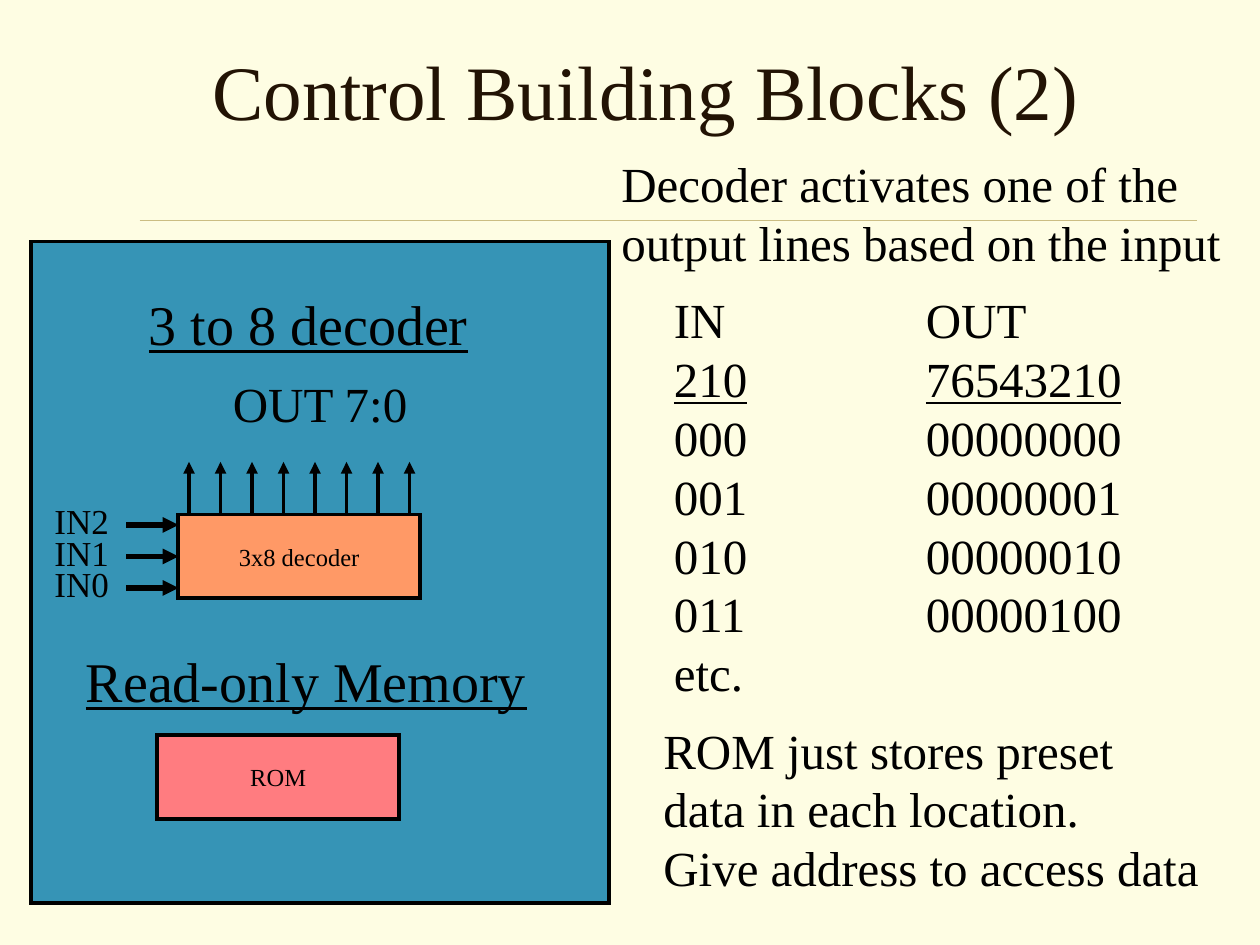
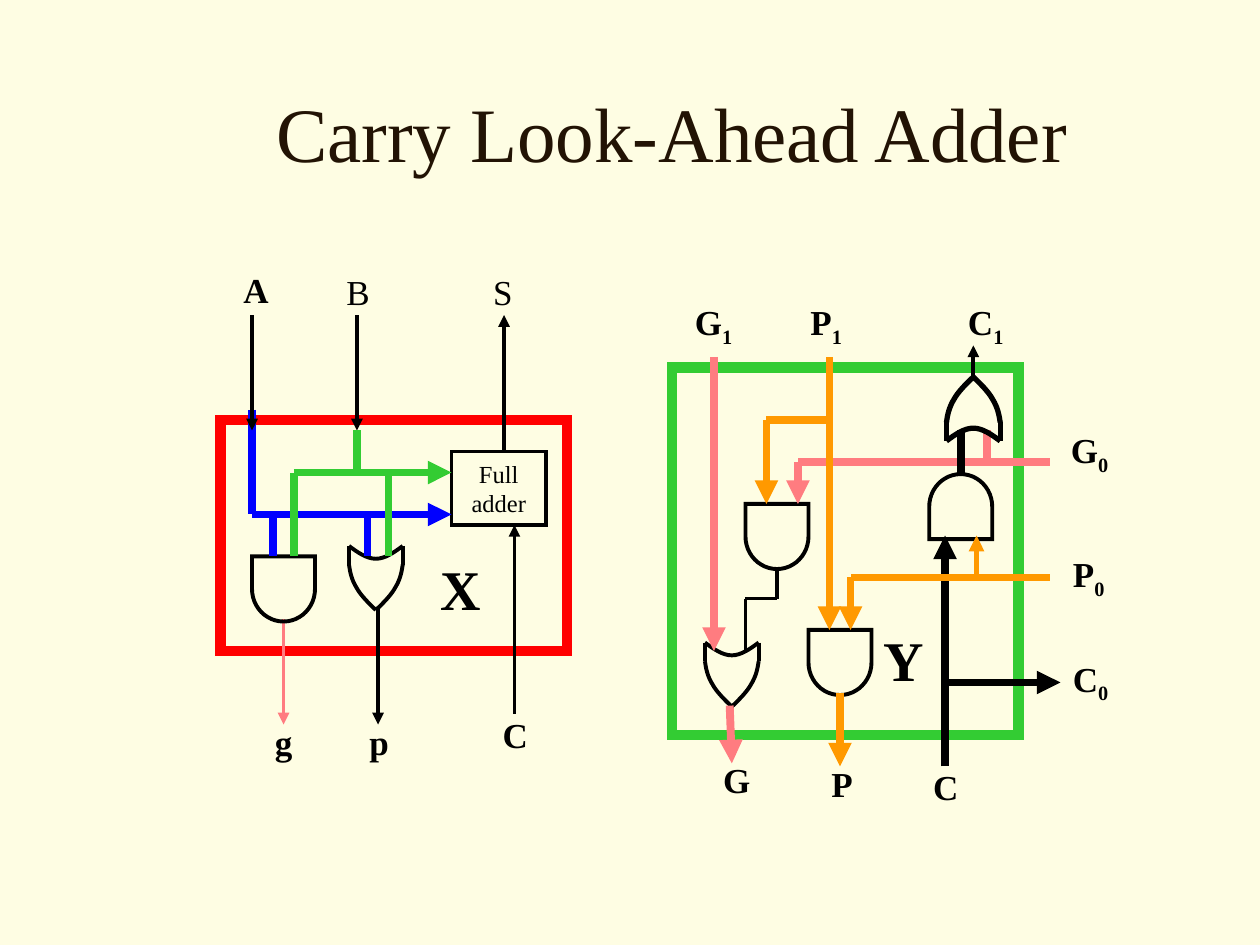
from lxml.etree import SubElement
from pptx import Presentation
from pptx.dml.color import RGBColor
from pptx.enum.shapes import MSO_CONNECTOR, MSO_SHAPE
from pptx.enum.text import MSO_ANCHOR, MSO_AUTO_SIZE, PP_ALIGN
from pptx.oxml.ns import qn
from pptx.util import Inches, Pt

COLORS = {
    "background": "FEFDE3",
    "title": "221304",
    "rule": "CBBD83",
    "black": "000000",
    "panel": "3694B6",
    "decoder": "FF9966",
    "pink": "FF7C80",
    "red": "FF0000",
    "green": "33CC33",
    "blue": "0000FF",
    "orange": "FF9900",
}
FONT = "Times New Roman"
COLUMNS, ROWS = 120, 90
TITLE_ONLY = 5
GATE_SIDE = ((-0.5, 0.29), (-0.48, 0.41), (-0.45, 0.53), (-0.36, 0.65),
             (-0.29, 0.76), (-0.15, 0.88), (0, 1))
GATE_BACK = ((-0.5, 0), (-0.34, 0.1), (-0.17, 0.2), (0, 0.2),
             (0.17, 0.2), (0.34, 0.1), (0.5, 0))


def color(name):
    return RGBColor.from_string(COLORS[name])


class Deck:
    def __init__(self):
        self.presentation = Presentation()
        self.presentation.slide_width = Inches(10)
        self.presentation.slide_height = Inches(7.5)
        self.column = self.presentation.slide_width / COLUMNS
        self.row = self.presentation.slide_height / ROWS
        fill = self.presentation.slide_master.background.fill
        fill.solid()
        fill.fore_color.rgb = color("background")
        self.slide = None

    def point(self, x, y):
        return round(x * self.column), round(y * self.row)

    def box(self, left, top, width, height):
        return *self.point(left, top), *self.point(width, height)

    def format_runs(self, paragraph, size, ink="black", bold=False, underline=False):
        for run in paragraph.runs:
            run.font.name = FONT
            run.font.size = Pt(size)
            run.font.bold = bold
            run.font.underline = underline
            run.font.color.rgb = color(ink)

    def new_slide(self, title, *place):
        layout = self.presentation.slide_layouts[TITLE_ONLY]
        self.slide = self.presentation.slides.add_slide(layout)
        shape = self.slide.shapes.title
        shape.left, shape.top, shape.width, shape.height = self.box(*place)
        frame = shape.text_frame
        frame.text = title
        frame.auto_size = MSO_AUTO_SIZE.NONE
        frame.vertical_anchor = MSO_ANCHOR.MIDDLE
        frame.paragraphs[0].alignment = PP_ALIGN.CENTER
        self.format_runs(frame.paragraphs[0], 44, "title")

    def text(self, content, *place, size=28, bold=False, underline=False, subscript=""):
        frame = self.slide.shapes.add_textbox(*self.box(*place)).text_frame
        frame.text = content
        frame.word_wrap = False
        frame.auto_size = MSO_AUTO_SIZE.SHAPE_TO_FIT_TEXT
        if subscript:
            run = frame.paragraphs[0].add_run()
            run.text = subscript
            run._r.get_or_add_rPr().set("baseline", "-25000")
        for paragraph in frame.paragraphs:
            self.format_runs(paragraph, size, bold=bold, underline=underline)
        return frame

    def label(self, content, left, top, width, bold=True, subscript=""):
        self.text(content, left, top, width, 5.2, size=20, bold=bold, subscript=subscript)

    def outline(self, shape, ink, weight, fill=None):
        shape.shadow.inherit = False
        shape.line.color.rgb = color(ink)
        shape.line.width = Pt(weight)
        SubElement(shape._element.spPr.find(qn("a:ln")), qn("a:miter"), lim="800000")
        if fill:
            shape.fill.solid()
            shape.fill.fore_color.rgb = color(fill)
        else:
            shape.fill.background()

    def block(self, *place, content="", fill=None, ink="black", weight=2.25):
        shape = self.slide.shapes.add_shape(MSO_SHAPE.RECTANGLE, *self.box(*place))
        self.outline(shape, ink, weight, fill)
        if content:
            frame = shape.text_frame
            frame.text = content
            frame.word_wrap = False
            frame.vertical_anchor = MSO_ANCHOR.MIDDLE
            for paragraph in frame.paragraphs:
                paragraph.alignment = PP_ALIGN.CENTER
                self.format_runs(paragraph, 14)

    def wire(self, *points, ink="black", weight=2.25, arrow=False):
        for start, end in zip(points, points[1:]):
            connector = self.slide.shapes.add_connector(
                MSO_CONNECTOR.STRAIGHT, *self.point(*start), *self.point(*end))
            connector.line.color.rgb = color(ink)
            connector.line.width = Pt(weight)
            properties = connector._element.spPr
            if arrow and end == points[-1]:
                SubElement(properties.find(qn("a:ln")), qn("a:tailEnd"), type="triangle")
            SubElement(properties, qn("a:effectLst"))

    def curve(self, points, weight):
        corners = [self.point(*corner) for corner in points]
        builder = self.slide.shapes.build_freeform(*corners[0])
        builder.add_line_segments(corners[1:], close=False)
        shape = builder.convert_to_shape()
        segments = list(shape._element.iter(qn("a:lnTo")))
        for index in range(0, len(segments), 3):
            bezier = SubElement(segments[index].getparent(), qn("a:cubicBezTo"))
            for segment in segments[index:index + 3]:
                bezier.append(segment[0])
                segment.getparent().remove(segment)
        self.outline(shape, "black", weight)

    def and_gate(self, center, middle, rotation=90):
        width, height = 6.2, 6
        shape = self.slide.shapes.add_shape(
            MSO_SHAPE.FLOWCHART_DELAY,
            *self.box(center - width / 2, middle - height / 2, width, height))
        shape.rotation = rotation
        self.outline(shape, "black", 2.25)

    def or_gate(self, center, base, height=6.1, weight=2.25):
        def place(points, mirror=1):
            width = 5.12 * mirror
            return [(center + x * width, base + y * height) for x, y in points]

        for mirror in (1, -1):
            self.wire(*place((GATE_BACK[0], GATE_SIDE[0]), mirror), weight=weight)
            self.curve(place(GATE_SIDE, mirror), weight)
        self.curve(place(GATE_BACK), weight)


def add_building_blocks(deck):
    deck.new_slide("Control Building Blocks (2)", 7, 1, 109, 15)
    deck.wire((13.3, 21), (114, 21), ink="rule", weight=0.25)
    deck.block(3, 23, 55, 63, fill="panel")

    deck.text("3 to 8 decoder", 13, 27, 32.8, 7.6, size=32, underline=True)
    deck.text("OUT 7:0", 21, 35, 19.2, 6.8)
    deck.block(17, 49, 23, 8, content="3x8 decoder", fill="decoder")
    for index, name in enumerate(("IN2", "IN1", "IN0")):
        deck.label(name, 4, 47 + 3 * index, 7.6, bold=False)
        level = 50 + 3 * index
        deck.wire((12, level), (17, level), weight=3, arrow=True)
    for output in range(8):
        x = 18 + 3 * output
        deck.wire((x, 49), (x, 44), arrow=True)

    deck.text("Read-only Memory", 7, 61, 44.4, 7.6, size=32, underline=True)
    deck.block(15, 70, 23, 8, content="ROM", fill="pink")

    deck.text("Decoder activates one of the\noutput lines based on the input",
              58, 14, 59.5, 12.4)
    truth_rows = (
        ("IN", "OUT"),
        ("210", "76543210"),
        ("000", "00000000"),
        ("001", "00000001"),
        ("010", "00000010"),
        ("011", "00000100"),
        ("etc.",),
    )
    truth = deck.text("\n".join("\t\t".join(row) for row in truth_rows),
                      63, 27, 45.1, 40.4)
    for paragraph in truth.paragraphs:
        properties = paragraph._p.get_or_add_pPr()
        stops = SubElement(properties, qn("a:tabLst"))
        for inches in (1, 2):
            SubElement(stops, qn("a:tab"), pos=str(Inches(inches)), algn="l")
    deck.format_runs(truth.paragraphs[1], 28, underline=True)
    deck.text("ROM just stores preset\ndata in each location.\nGive address to access data",
              62, 68, 53.4, 18)


def add_cell_x(deck):
    deck.block(21, 40, 33, 22, ink="red", weight=6)
    deck.wire((34, 30), (34, 41), arrow=True)
    deck.wire((48, 43), (48, 30), arrow=True)
    deck.wire((27, 59), (27, 69), ink="pink", arrow=True)
    deck.wire((36, 58), (36, 69), arrow=True)
    deck.wire((49, 68), (49, 50), arrow=True)
    deck.and_gate(27, 56.1)
    deck.or_gate(35.8, 52)
    deck.block(43, 43, 9, 7, content="Full\nadder")

    bus = {"ink": "blue", "weight": 4.5}
    deck.wire((24, 39), (24, 49), (40, 49), (43, 49), arrow=True, **bus)
    for x in (26, 35):
        deck.wire((x, 49), (x, 53), **bus)
    deck.wire((24, 30), (24, 41), arrow=True)

    bus["ink"] = "green"
    deck.wire((34, 41), (34, 45), **bus)
    deck.wire((28, 45), (43, 45), arrow=True, **bus)
    for x in (28, 37):
        deck.wire((x, 45), (x, 53), **bus)

    deck.label("A", 22, 25, 4.8)
    deck.label("B", 31.8, 25.2, 4.7, bold=False)
    deck.label("S", 45.8, 25.2, 4.3, bold=False)
    deck.label("g", 25, 68, 4.1)
    deck.label("p", 34, 68, 4.3)
    deck.label("C", 46.7, 67.35, 4.8)
    deck.text("X", 40.8, 52.2, 6.2, 7.6, size=32, bold=True)


def add_cell_y(deck):
    deck.block(64, 35, 33, 35, ink="green", weight=6)
    deck.or_gate(69.7, 61.2)
    for center, middle in ((74, 51.1), (80, 63.1)):
        deck.and_gate(center, middle)

    generate = {"ink": "pink", "weight": 4.5}
    propagate = {"ink": "orange", "weight": 4.5}
    carry = {"ink": "black", "weight": 4.5}
    deck.wire((69.5, 67.2), (69.7, 72.7), arrow=True, **generate)
    deck.wire((80, 66), (80, 73), arrow=True, **propagate)
    deck.wire((90, 73), (90, 51), arrow=True, **carry)
    deck.wire((68, 34), (68, 62), arrow=True, **generate)
    deck.wire((79, 34), (79, 40), **propagate)
    deck.wire((79, 40), (73, 40), (73, 48), arrow=True, **propagate)
    deck.wire((100, 44), (76, 44), (76, 48), arrow=True, **generate)
    deck.wire((79, 40), (79, 60), arrow=True, **propagate)
    deck.wire((100, 55), (81, 55), (81, 60), arrow=True, **propagate)
    deck.and_gate(91.5, 48.25, rotation=270)
    deck.wire((93, 55), (93, 51), ink="orange", weight=3, arrow=True)
    deck.wire((92.7, 35.9), (92.7, 32.9), arrow=True)
    deck.wire((74, 54), (74, 57), (71, 57), (71, 62))
    deck.wire((90, 65), (101, 65), arrow=True, **carry)
    deck.wire((91.5, 45), (91.5, 41), **carry)
    deck.wire((94, 44), (94, 41), **generate)
    deck.or_gate(92.7, 42, height=-6.1, weight=3)

    for name, left, top, width in (("G", 67.7, 71.6, 5), ("P", 78, 72, 4.4),
                                   ("C", 87.7, 72.35, 4.8)):
        deck.label(name, left, top, width)
    for name, upper_left, side_left, side_top, width in (
            ("G", 65, 100.8, 40.2, 6.1),
            ("P", 76, 101, 52, 5.5),
            ("C", 91, 101, 62, 5.9)):
        deck.label(name, upper_left, 28, width, subscript="1")
        deck.label(name, side_left, side_top, width, subscript="0")
    deck.text("Y", 83, 59, 6.2, 7.6, size=32, bold=True)


def main():
    deck = Deck()
    add_building_blocks(deck)
    deck.new_slide("Carry Look-Ahead Adder", 14, 5, 100, 15)
    add_cell_x(deck)
    add_cell_y(deck)
    deck.presentation.save("out.pptx")


if __name__ == "__main__":
    main()
